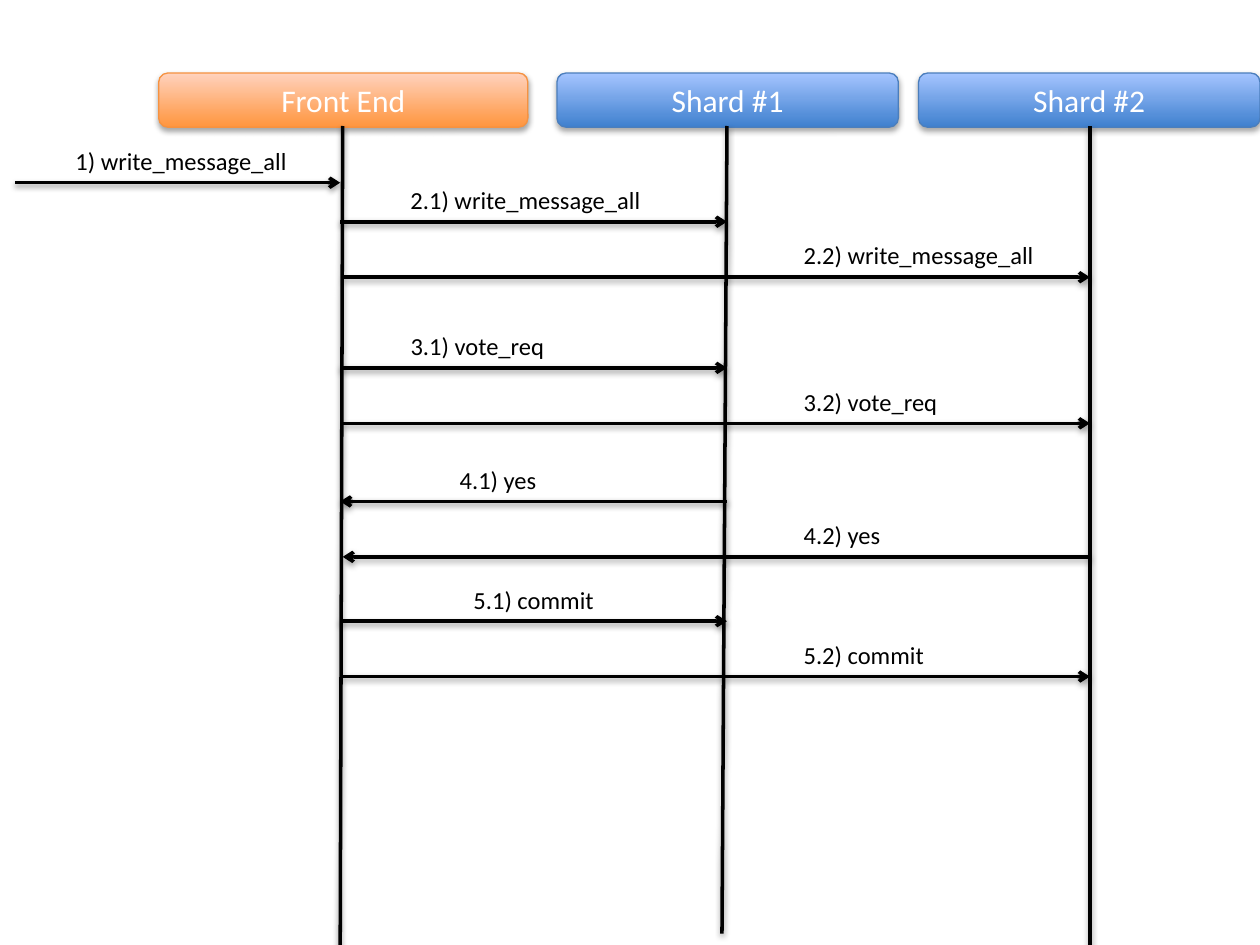
"""Sequence diagram of a two-phase commit between a front end and two shards."""
from lxml import etree
from pptx import Presentation, util as u
from pptx.dml import color
from pptx.enum import shapes, text
from pptx.oxml import ns

HUES = {
    "ink": "000000", "paper": "FFFFFF",
    "warm": ("FF953E", "FFD2BD", "F69240"),
    "cool": ("3F80CE", "A4C4FF", "4B7EBC"),
}
ACTORS = [
    ("Front End", 1.26, 2.93, "warm"),
    ("Shard #1", 4.42, 2.71, "cool"),
    ("Shard #2", 7.29, 2.71, "cool"),
]
LIVES = [(2.72, 2.7, 7.5), (5.77, 5.73, 7.41), (8.65, 8.65, 7.5)]
CALL = ("1) write_message_all", 0.5, 1.89, 1.45)
ROUNDS = [
    ("2", "write_message_all", 3.16, 2.04, 1.76, "tailEnd"),
    ("3", "vote_req", 3.16, 1.28, 2.92, "tailEnd"),
    ("4", "yes", 3.55, 0.82, 3.98, "headEnd"),
    ("5", "commit", 3.66, 1.17, 4.93, "tailEnd"),
]
SPANS = [(2.7, 5.77), (2.72, 8.65)]
FAR, STEP, RISE = 6.28, 0.44, 0.34

deck = Presentation()
deck.slide_width, deck.slide_height = u.Inches(10), u.Inches(7.5)
slide = deck.slides.add_slide(deck.slide_layouts[6])


def rgb(hue):
    return color.RGBColor.from_string(hue)


def put(item, values):
    for name, value in values.items():
        setattr(item, name, value)


def shade(item, drop, alpha):
    props = item._element.spPr
    for old in props.findall(ns.qn("a:effectLst")):
        props.remove(old)
    list_ = etree.SubElement(props, ns.qn("a:effectLst"))
    cast = etree.SubElement(list_, ns.qn("a:outerShdw"), blurRad="40000",
                            dist=str(u.Pt(drop)), dir="5400000", rotWithShape="0")
    tint = etree.SubElement(cast, ns.qn("a:srgbClr"), val=HUES["ink"])
    etree.SubElement(tint, ns.qn("a:alpha"), val=str(alpha * 1000))


def write(frame, words, size, hue, align):
    para = frame.paragraphs[0]
    para.alignment = align
    run = para.add_run()
    run.text = words
    put(run.font, {"size": u.Pt(size), "name": "Calibri"})
    run.font.color.rgb = rgb(HUES[hue])


def head(words, left, width, tone):
    box = slide.shapes.add_shape(shapes.MSO_SHAPE.ROUNDED_RECTANGLE,
                                 *map(u.Inches, (left, 0.58, width, 0.43)))
    low, high, edge = HUES[tone]
    box.fill.gradient()
    box.fill.gradient_angle = 90
    for stop, hue in zip(box.fill.gradient_stops, (low, high)):
        stop.color.rgb = rgb(hue)
    box.line.color.rgb = rgb(edge)
    box.line.width = u.Pt(0.75)
    shade(box, 1.8, 35)
    box.text_frame.vertical_anchor = text.MSO_ANCHOR.MIDDLE
    write(box.text_frame, words, 18, "paper", text.PP_ALIGN.CENTER)


def rule(x1, y1, x2, y2, tip=None):
    line = slide.shapes.add_connector(shapes.MSO_CONNECTOR.STRAIGHT,
                                      *map(u.Inches, (x1, y1, x2, y2)))
    line.line.color.rgb = rgb(HUES["ink"])
    line.line.width = u.Pt(2)
    if tip:
        etree.SubElement(line.line._get_or_add_ln(), ns.qn("a:" + tip), type="arrow")
    shade(line, 1.6, 38)


def label(words, left, width, y):
    box = slide.shapes.add_textbox(*map(u.Inches, (left, y - RISE, width, 0.34)))
    put(box.text_frame, {"word_wrap": False,
                         "auto_size": text.MSO_AUTO_SIZE.SHAPE_TO_FIT_TEXT})
    write(box.text_frame, words, 14, "ink", text.PP_ALIGN.LEFT)


for actor in ACTORS:
    head(*actor)
for top, foot, end in LIVES:
    rule(top, 1, foot, end)

rule(0.12, CALL[3], 2.7, CALL[3], "tailEnd")
label(*CALL)
for num, verb, near, width, y, tip in ROUNDS:
    for i, (start, stop) in enumerate(SPANS):
        row = y + i * STEP
        rule(start, row, stop, row, tip)
        label(f"{num}.{i + 1}) {verb}", (near, FAR)[i], width, row)

deck.save("out.pptx")
